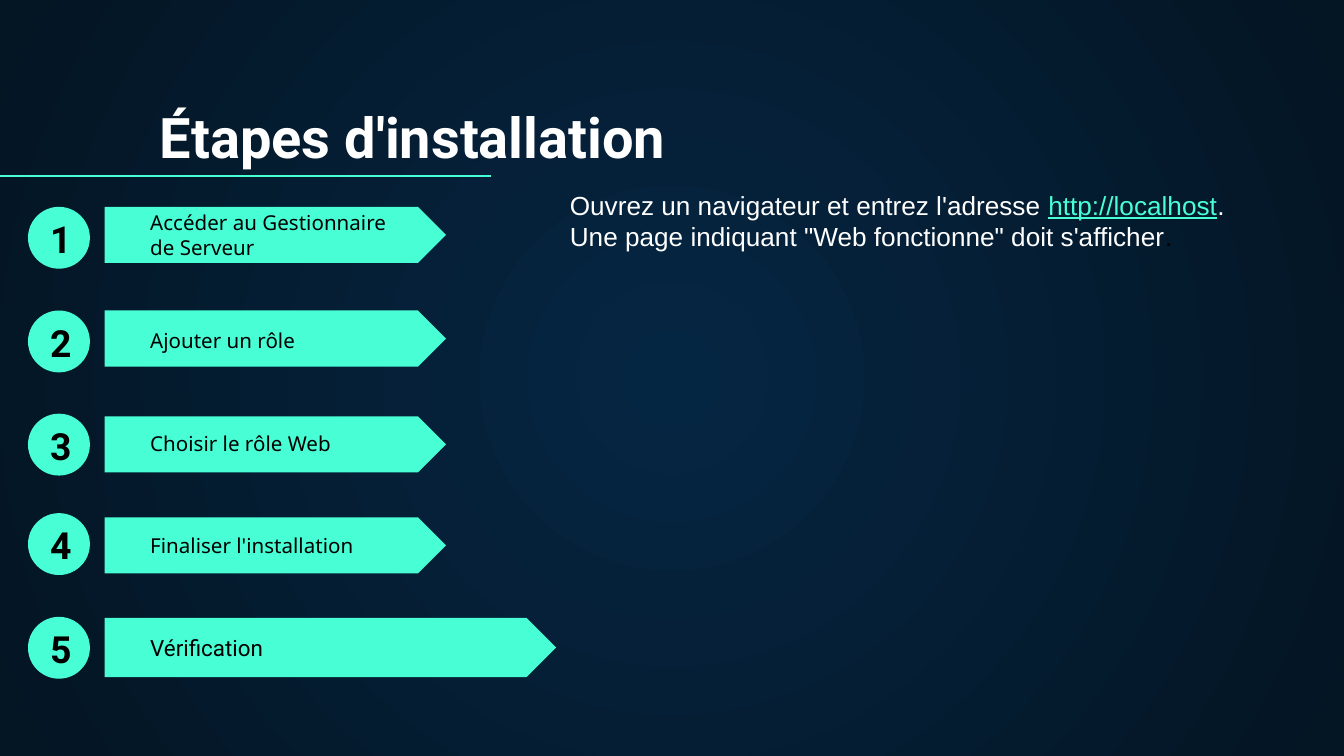
import pptx
import pptx.util
import pptx.dml.color
import pptx.enum.shapes
import pptx.enum.text
import pptx.oxml
import pptx.oxml.ns
import lxml.etree

Cm = pptx.util.Cm
SHAPE = pptx.enum.shapes.MSO_SHAPE
ANCHOR = pptx.enum.text.MSO_ANCHOR
FIT = pptx.enum.text.MSO_AUTO_SIZE

COLOURS = {"mint": "48FFD5", "white": "FFFFFF", "black": "000000",
           "centre": "052643", "edge": "041523"}

# Content
TITLE = "Étapes d'installation"
STEP = {"name": "Noto Sans", "size": 11, "colour": "black"}
LAST_STEP = {"name": "Roboto", "size": 12, "colour": "black"}
NUMBER = {"name": "Roboto", "size": 20, "colour": "black", "bold": True}
HEADING = {"name": "Roboto", "size": 30, "colour": "white", "bold": True}
BODY = {"name": "Arial", "size": 14, "colour": "white"}
LINK = {**BODY, "colour": "mint", "underline": True}

# label, format, circle top, arrow top, arrow size, label top, label size (cm)
STEPS = [
    ("Accéder au Gestionnaire de Serveur", STEP, 3.91, 3.91, (6.45, 1.06), 4.11, (5.44, 1.04)),
    ("Ajouter un rôle", STEP, 5.87, 5.87, (6.45, 1.06), 6.38, (5.77, 0.53)),
    ("Choisir le rôle Web", STEP, 7.82, 7.87, (6.45, 1.06), 8.33, (5.77, 0.53)),
    ("Finaliser l'installation", STEP, 9.7, 9.78, (6.45, 1.06), 10.26, (5.77, 0.53)),
    ("Vérification", LAST_STEP, 11.66, 11.68, (8.53, 1.12), 12.22, (5.77, 0.53)),
]
CHECK = [
    [("Ouvrez un navigateur et entrez l'adresse ", BODY),
     ("http://localhost", LINK), (".", BODY)],
    [("Une page indiquant \"Web fonctionne\" doit s'afficher", BODY),
     (".", {**BODY, "colour": "black"})],
]


def rgb(name):
    return pptx.dml.color.RGBColor.from_string(COLOURS[name])


def write(box, lines, **frame_format):
    """Fill a box with lines, each a list of (text, format) spans."""
    frame = box.text_frame
    frame.word_wrap = True
    for key, value in frame_format.items():
        setattr(frame, key, value)
    for index, line in enumerate(lines):
        para = frame.add_paragraph() if index else frame.paragraphs[0]
        para.alignment = pptx.enum.text.PP_ALIGN.LEFT
        for text, style in line:
            span = para.add_run()
            span.text = text
            for key, value in style.items():
                if key == "colour":
                    span.font.color.rgb = rgb(value)
                else:
                    setattr(span.font, key, pptx.util.Pt(value) if key == "size" else value)


def add_text(page, place, lines, **frame_format):
    box = page.shapes.add_textbox(*map(Cm, place))
    write(box, lines, **frame_format)


def add_solid(page, kind, place):
    shape = page.shapes.add_shape(kind, *map(Cm, place))
    shape.shadow.inherit = False
    shape.fill.solid()
    shape.fill.fore_color.rgb = rgb("mint")
    shape.line.fill.background()


def set_background(page):
    """Radial gradient from the middle of the page."""
    fill = page.background.fill
    fill.gradient()
    for stop, name in zip(fill.gradient_stops, ("centre", "edge")):
        stop.color.rgb = rgb(name)
    gradient = page.element.find(".//" + pptx.oxml.ns.qn("a:gradFill"))
    linear = gradient.find(pptx.oxml.ns.qn("a:lin"))
    gradient.replace(linear, pptx.oxml.parse_xml(
        f'<a:path {pptx.oxml.ns.nsdecls("a")} path="circle">'
        '<a:fillToRect l="50000" t="50000" r="50000" b="50000"/></a:path>'))


def main():
    deck = pptx.Presentation()
    deck.slide_width, deck.slide_height = Cm(25.4), Cm(14.29)
    page = deck.slides.add_slide(deck.slide_layouts[5])
    set_background(page)
    low = {"vertical_anchor": ANCHOR.BOTTOM, "auto_size": FIT.NONE}
    low.update({f"margin_{side}": Cm(0.25) for side in ("left", "top", "right", "bottom")})

    # Title and its rule
    title = page.shapes.title
    place = {"left": 2.77, "top": 1.78, "width": 21.77, "height": 1.68}
    for key, value in place.items():
        setattr(title, key, Cm(value))
    write(title, [[(TITLE, HEADING)]], **low)
    rule = page.shapes.add_connector(pptx.enum.shapes.MSO_CONNECTOR.STRAIGHT,
                                     0, Cm(3.33), Cm(9.27), Cm(3.33))
    rule.line.color.rgb = rgb("mint")
    rule.line.width = pptx.util.Pt(0.75)
    lxml.etree.SubElement(rule.element.spPr, pptx.oxml.ns.qn("a:effectLst"))

    # Numbered steps
    for number, step in enumerate(STEPS, 1):
        label, style, circle_top, arrow_top, arrow_size, label_top, label_size = step
        add_solid(page, SHAPE.PENTAGON, (1.98, arrow_top, *arrow_size))
        add_solid(page, SHAPE.OVAL, (0.53, circle_top, 1.17, 1.17))
        add_text(page, (0.7, circle_top + 0.05, 0.74, 1.12), [[(str(number), NUMBER)]],
                 auto_size=FIT.SHAPE_TO_FIT_TEXT)
        add_text(page, (2.59, label_top, *label_size), [[(label, style)]], **low)

    # How to check the result
    add_text(page, (10.52, 3.45, 13.77, 1.45), CHECK, auto_size=FIT.SHAPE_TO_FIT_TEXT)

    deck.save("out.pptx")


if __name__ == "__main__":
    main()
